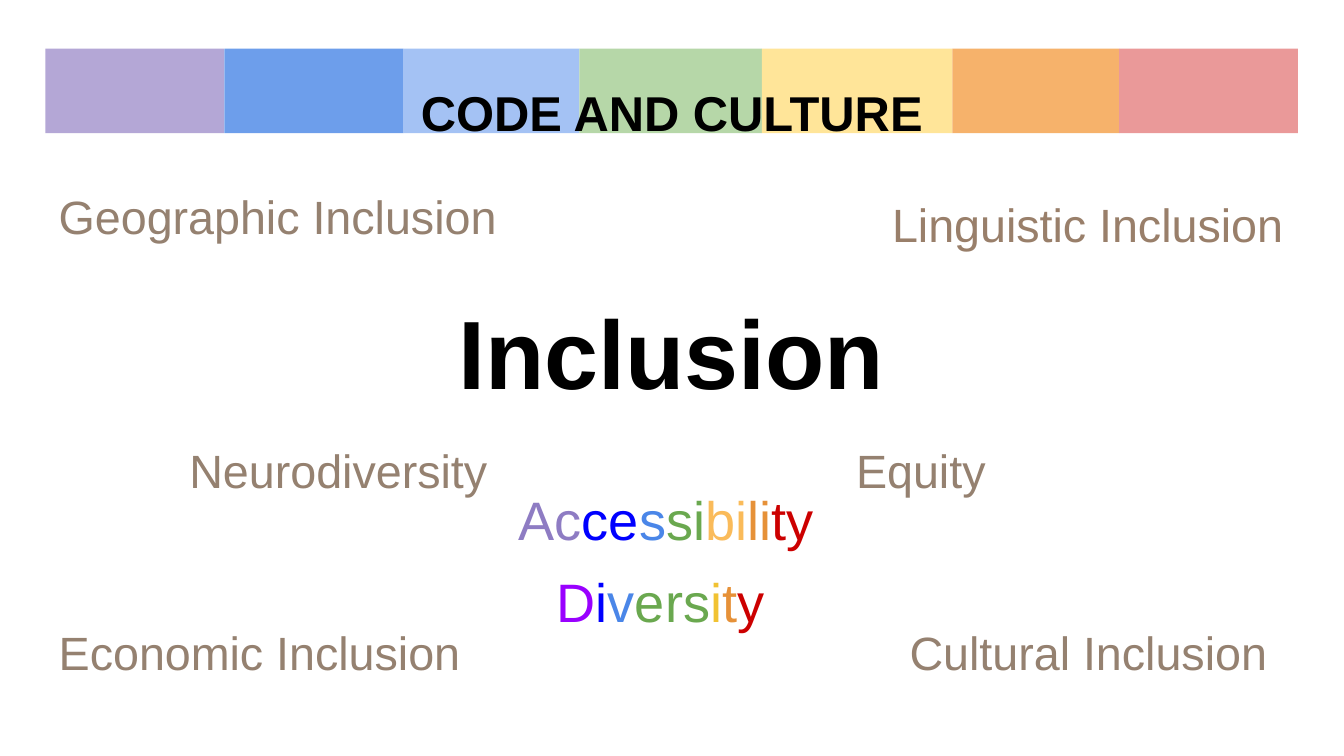
import pptx
import pptx.util
import pptx.dml.color
import pptx.enum.shapes
import pptx.enum.text

Cm = pptx.util.Cm
Pt = pptx.util.Pt
ANCHOR = pptx.enum.text.MSO_ANCHOR
ALIGN = pptx.enum.text.PP_ALIGN

COLOURS = {
    "black": "000000", "taupe": "958170", "warm taupe": "997F6A",
    "pale purple": "B4A7D6", "cornflower": "6D9EEB", "pale blue": "A4C2F4",
    "pale green": "B6D7A8", "pale yellow": "FFE599", "pale orange": "F6B26B",
    "pale red": "EA9999", "violet": "9900FF", "lavender": "8E7CC3",
    "blue": "0000FF", "sky": "4A86E8", "green": "6AA84F", "gold": "F1C232",
    "apricot": "FABB5A", "orange": "E69138", "red": "CC0000",
}


def colour(name):
    return pptx.dml.color.RGBColor.from_string(COLOURS[name])


class SlideBuilder:
    font = "Arial"
    inset = Cm(0.25)
    top_inset = Cm(0.33)

    def __init__(self, page):
        self.page = page

    def band(self, left, top, width, height, fill):
        shape = self.page.shapes.add_shape(
            pptx.enum.shapes.MSO_SHAPE.RECTANGLE,
            Cm(left), Cm(top), Cm(width), Cm(height))
        shape.shadow.inherit = False
        shape.fill.solid()
        shape.fill.fore_color.rgb = colour(fill)
        shape.line.fill.background()

    def text(self, left, top, width, height, spans, size, bold=False,
             align=ALIGN.LEFT, anchor=ANCHOR.TOP):
        """Add one line of text; spans holds (words, colour name) pairs."""
        box = self.page.shapes.add_textbox(Cm(left), Cm(top), Cm(width), Cm(height))
        frame = box.text_frame
        frame.word_wrap = True
        frame.vertical_anchor = anchor
        frame.margin_left = frame.margin_right = frame.margin_bottom = self.inset
        frame.margin_top = self.top_inset
        para = frame.paragraphs[0]
        para.alignment = align
        para.font.name = self.font
        para.font.size = Pt(size)
        para.font.bold = bold
        for words, name in spans:
            span = para.add_run()
            span.text = words
            span.font.color.rgb = colour(name)


BANDS = [
    ("pale purple", 3.38), ("cornflower", 3.38), ("pale blue", 3.33),
    ("pale green", 3.45), ("pale yellow", 3.6), ("pale orange", 3.15),
    ("pale red", 3.38),
]
TOPICS = [
    ("Geographic Inclusion", 0.86, 3.23, 9.22, "taupe"),
    ("Linguistic Inclusion", 16.61, 3.38, 8.15, "warm taupe"),
    ("Neurodiversity", 3.33, 8.03, 6.76, "taupe"),
    ("Equity", 15.93, 8.03, 6.32, "taupe"),
    ("Economic Inclusion", 0.86, 11.46, 9.22, "taupe"),
    ("Cultural Inclusion", 16.94, 11.46, 7.47, "taupe"),
]
ACCESSIBILITY = [
    ("Ac", "lavender"), ("ce", "blue"), ("s", "sky"), ("si", "green"),
    ("bi", "apricot"), ("li", "orange"), ("ty", "red"),
]
DIVERSITY = [
    ("D", "violet"), ("i", "blue"), ("v", "sky"), ("ers", "green"),
    ("i", "gold"), ("t", "orange"), ("y", "red"),
]
MARGIN = 0.86
CONTENT_WIDTH = 23.67
LABEL_HEIGHT = 1.73


def main():
    deck = pptx.Presentation()
    deck.slide_width = Cm(25.4)
    deck.slide_height = Cm(14.29)
    builder = SlideBuilder(deck.slides.add_slide(deck.slide_layouts[6]))

    left = MARGIN
    for fill, width in BANDS:
        builder.band(left, 0.92, width, 1.6, fill)
        left += width

    builder.text(MARGIN, 1.24, CONTENT_WIDTH, 1.6, [("CODE AND CULTURE", "black")],
                 26.2, bold=True, align=ALIGN.CENTER)
    builder.text(MARGIN, 4.98, CONTENT_WIDTH, 3, [("Inclusion", "black")],
                 52, bold=True, align=ALIGN.CENTER, anchor=ANCHOR.BOTTOM)
    for words, left, top, width, name in TOPICS:
        builder.text(left, top, width, LABEL_HEIGHT, [(words, name)], 25)
    builder.text(9.55, 10.41, 5.87, LABEL_HEIGHT, DIVERSITY, 29, align=ALIGN.CENTER)
    builder.text(9.55, 8.86, 6.32, LABEL_HEIGHT, ACCESSIBILITY, 29)

    deck.save("out.pptx")


if __name__ == "__main__":
    main()
